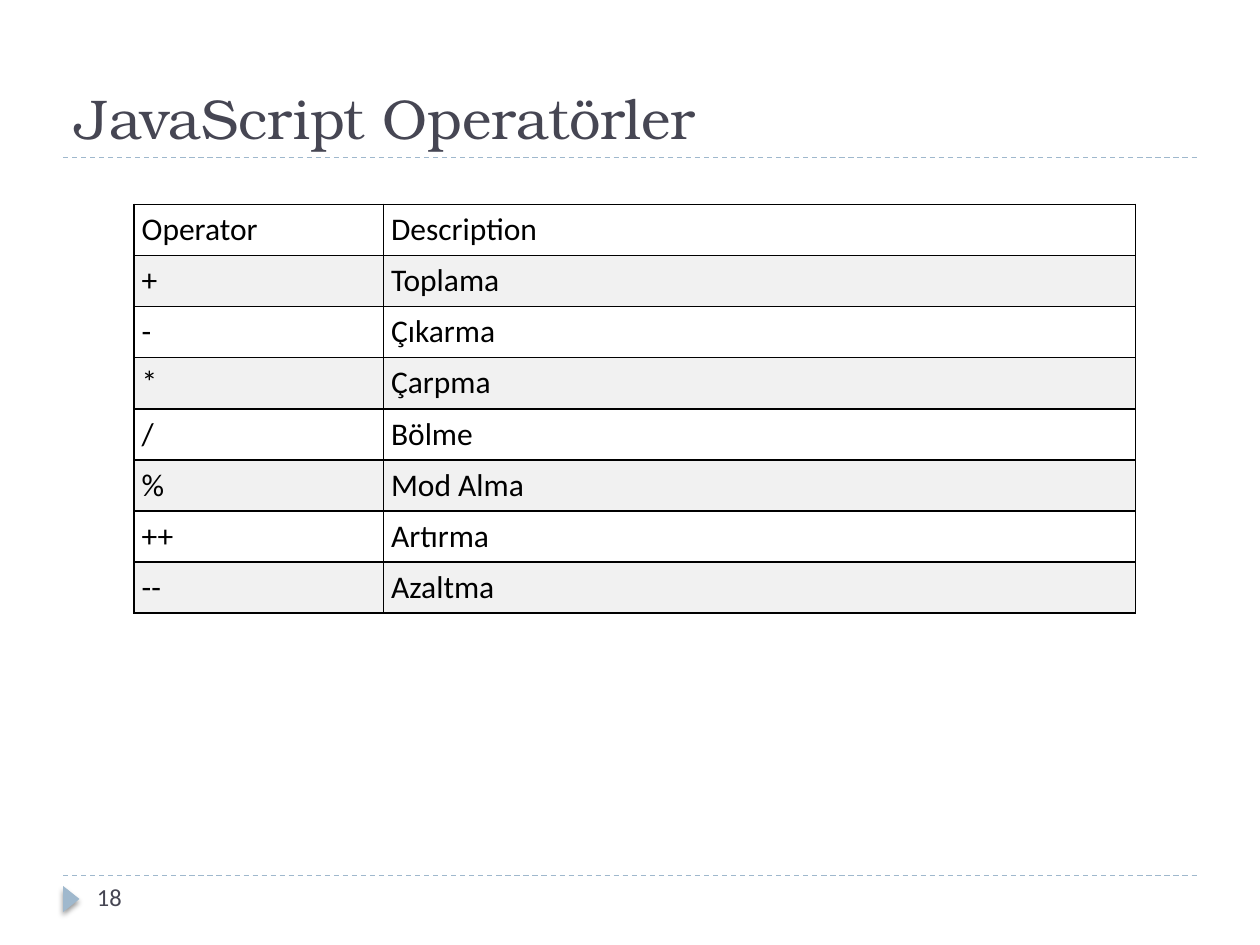
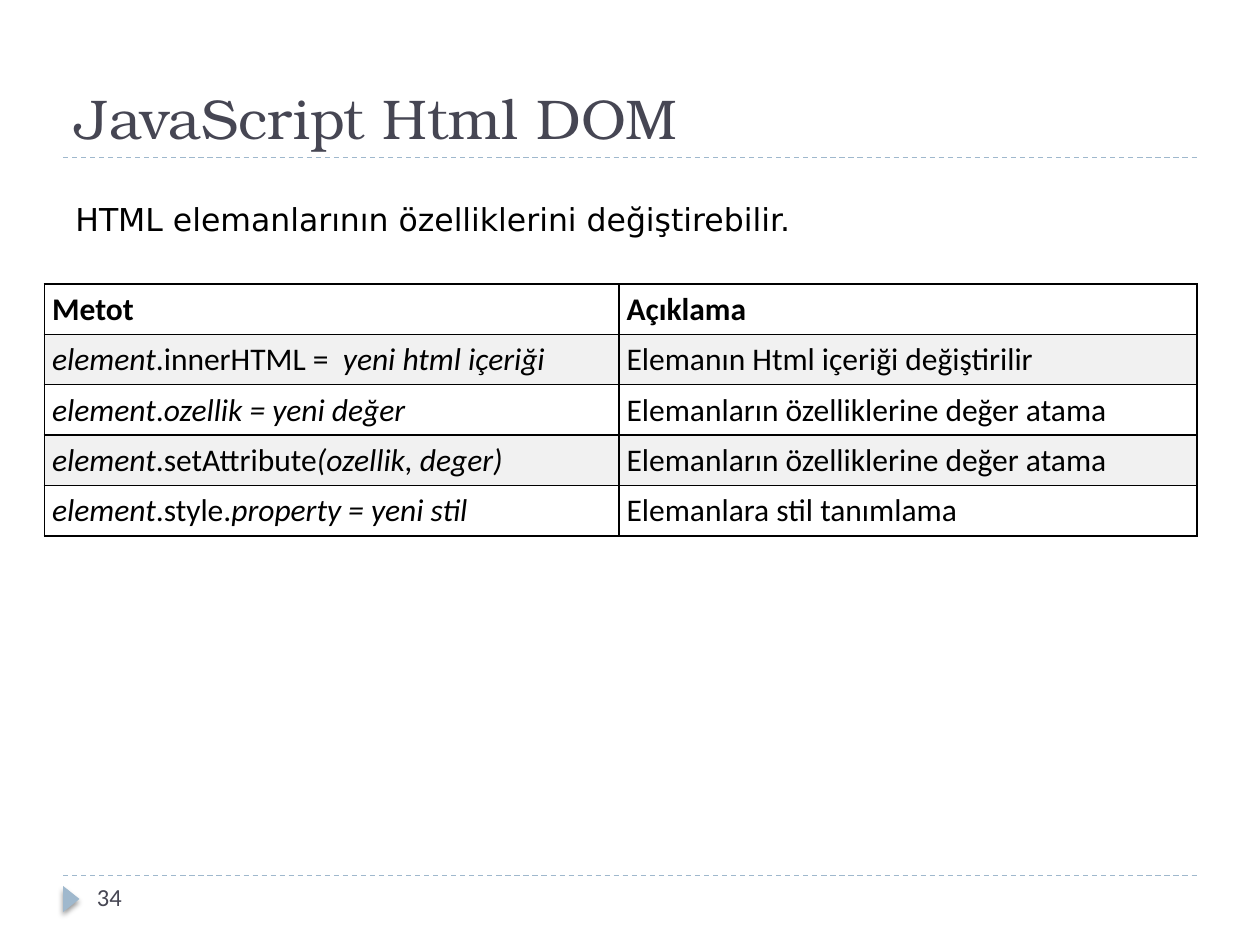
import lxml.etree
import pptx
import pptx.dml.color
import pptx.enum.dml
import pptx.enum.shapes
import pptx.enum.text
import pptx.oxml.ns
import pptx.util

Pt = pptx.util.Pt
RGB = pptx.dml.color.RGBColor
INK = RGB(0x46, 0x46, 0x53)
BLUE = RGB(0x9F, 0xB8, 0xCD)
BLACK = RGB(0, 0, 0)
WHITE = RGB(0xFF, 0xFF, 0xFF)
GREY = RGB(0xF1, 0xF1, 0xF1)
HEAD, BODY, NOTE = "TeX Gyre Bonum", "Calibri", "DejaVu Sans"

LEFT, WIDTH = 36, 648
TITLE = (LEFT, 12.24, WIDTH, 77.76)
FOOT = (LEFT, 500.4, WIDTH, 28.8)

MATH = [
    ("Operator", "Description"),
    ("+", "Toplama"),
    ("-", "Çıkarma"),
    ("*", "Çarpma"),
    ("/", "Bölme"),
    ("%", "Mod Alma"),
    ("++", "Artırma"),
    ("--", "Azaltma"),
]
# Tuples alternate italic and upright runs.
DOM = [
    ("Metot", "Açıklama"),
    (("element", ".innerHTML =  ", "yeni html içeriği"), "Elemanın Html içeriği değiştirilir"),
    (("element", ".", "ozellik = yeni değer"), "Elemanların özelliklerine değer atama"),
    (("element", ".setAttribute", "(ozellik, deger)"), "Elemanların özelliklerine değer atama"),
    (("element", ".style.", "property = yeni stil"), "Elemanlara stil tanımlama"),
]


def add(node, tag, **attrs):
    return lxml.etree.SubElement(node, pptx.oxml.ns.qn(tag), attrs)


def style(para, size, name, color, bold=False):
    font = para.font
    font.size, font.name, font.bold = Pt(size), name, bold
    font.color.rgb = color


def add_rule(slide, left, top, width):
    line = slide.shapes.add_connector(
        pptx.enum.shapes.MSO_CONNECTOR.STRAIGHT,
        Pt(left), Pt(top), Pt(left + width), Pt(top))
    line.line.color.rgb = BLUE
    line.line.width = Pt(0.75)
    line.line.dash_style = pptx.enum.dml.MSO_LINE.DASH
    add(line._element.spPr, "a:effectLst")


def add_text(slide, text, box, size, name, color):
    shape = slide.shapes.add_textbox(*map(Pt, box))
    shape.text_frame.word_wrap = True
    para = shape.text_frame.paragraphs[0]
    para.text = text
    style(para, size, name, color)


def add_title(slide, text, box):
    left, top, width, height = box
    title = slide.shapes.title
    title.left, title.top, title.width, title.height = map(Pt, box)
    frame = title.text_frame
    frame.text = text
    frame.auto_size = pptx.enum.text.MSO_AUTO_SIZE.NONE
    frame.vertical_anchor = pptx.enum.text.MSO_ANCHOR.BOTTOM
    para = frame.paragraphs[0]
    para.alignment = pptx.enum.text.PP_ALIGN.LEFT
    style(para, 32, HEAD, INK)
    add_rule(slide, left, top + height, width)


def add_mark(slide, left, top):
    """Add the shaded triangle that points at the page number."""
    mark = slide.shapes.add_shape(
        pptx.enum.shapes.MSO_SHAPE.ISOSCELES_TRIANGLE,
        Pt(left), Pt(top), Pt(15), Pt(9.4))
    mark.rotation = 90
    mark.fill.solid()
    mark.fill.fore_color.rgb = BLUE
    mark.line.fill.background()
    mark.shadow.inherit = False
    effects = mark._element.spPr.find(pptx.oxml.ns.qn("a:effectLst"))
    shade = add(effects, "a:outerShdw", blurRad=str(Pt(3)), dist=str(Pt(2)),
                dir="5400000", rotWithShape="0")
    add(add(shade, "a:srgbClr", val=str(BLACK)), "a:alpha", val="40000")


def add_foot(slide, page, box):
    left, top, width, height = box
    add_rule(slide, left, top, width)
    add_mark(slide, left - 2.8, top + 8.6)
    add_text(slide, str(page), (left + 12.24, top, 156, height), 14, BODY, INK)


def fill_cell(cell, text, color, bold):
    edges = cell._tc.get_or_add_tcPr()
    for side in "LRTB":
        edge = add(edges, f"a:ln{side}", w=str(Pt(1)))
        add(add(edge, "a:solidFill"), "a:srgbClr", val=str(BLACK))
    cell.fill.solid()
    cell.fill.fore_color.rgb = color
    cell.margin_left = cell.margin_right = Pt(4.5)
    para = cell.text_frame.paragraphs[0]
    style(para, 18, BODY, BLACK, bold)
    if isinstance(text, str):
        para.text = text
        return
    for i, part in enumerate(text):
        run = para.add_run()
        run.text = part
        run.font.italic = i % 2 == 0


def add_grid(slide, rows, left, top, widths, height, bold=False):
    table = slide.shapes.add_table(
        len(rows), len(widths), Pt(left), Pt(top),
        Pt(sum(widths)), Pt(height * len(rows))).table
    table.first_row = table.horz_banding = False
    for col, width in zip(table.columns, widths):
        col.width = Pt(width)
    for i, row in enumerate(rows):
        table.rows[i].height = Pt(height)
        for j, text in enumerate(row):
            fill_cell(table.cell(i, j), text, (WHITE, GREY)[i % 2], bold and i == 0)


def add_page(deck, title, page):
    slide = deck.slides.add_slide(deck.slide_layouts[5])
    add_title(slide, title, TITLE)
    add_foot(slide, page, FOOT)
    return slide


def main():
    deck = pptx.Presentation()
    deck.slide_width, deck.slide_height = Pt(720), Pt(540)

    slide = add_page(deck, "JavaScript Operatörler", 18)
    add_grid(slide, MATH, 76.5, 116.8, (142.5, 430), 29.2)

    slide = add_page(deck, "JavaScript Html DOM", 34)
    add_text(slide, "HTML elemanlarının özelliklerini değiştirebilir.",
             (LEFT, 111, WIDTH, 29), 18, NOTE, BLACK)
    add_grid(slide, DOM, 25.3, 162.2, (328.3, 330.5), 28.8, bold=True)

    deck.save("out.pptx")


if __name__ == "__main__":
    main()
